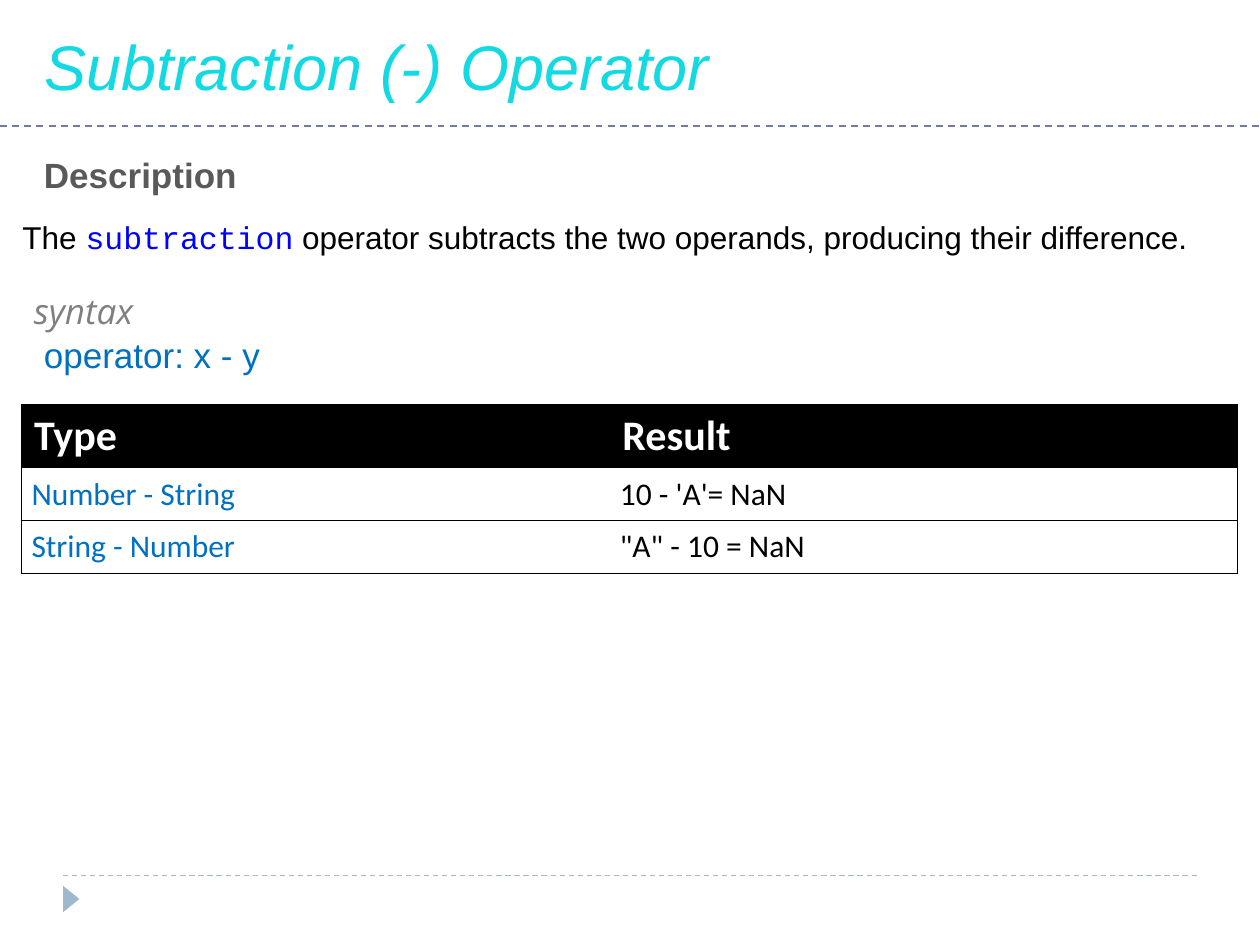
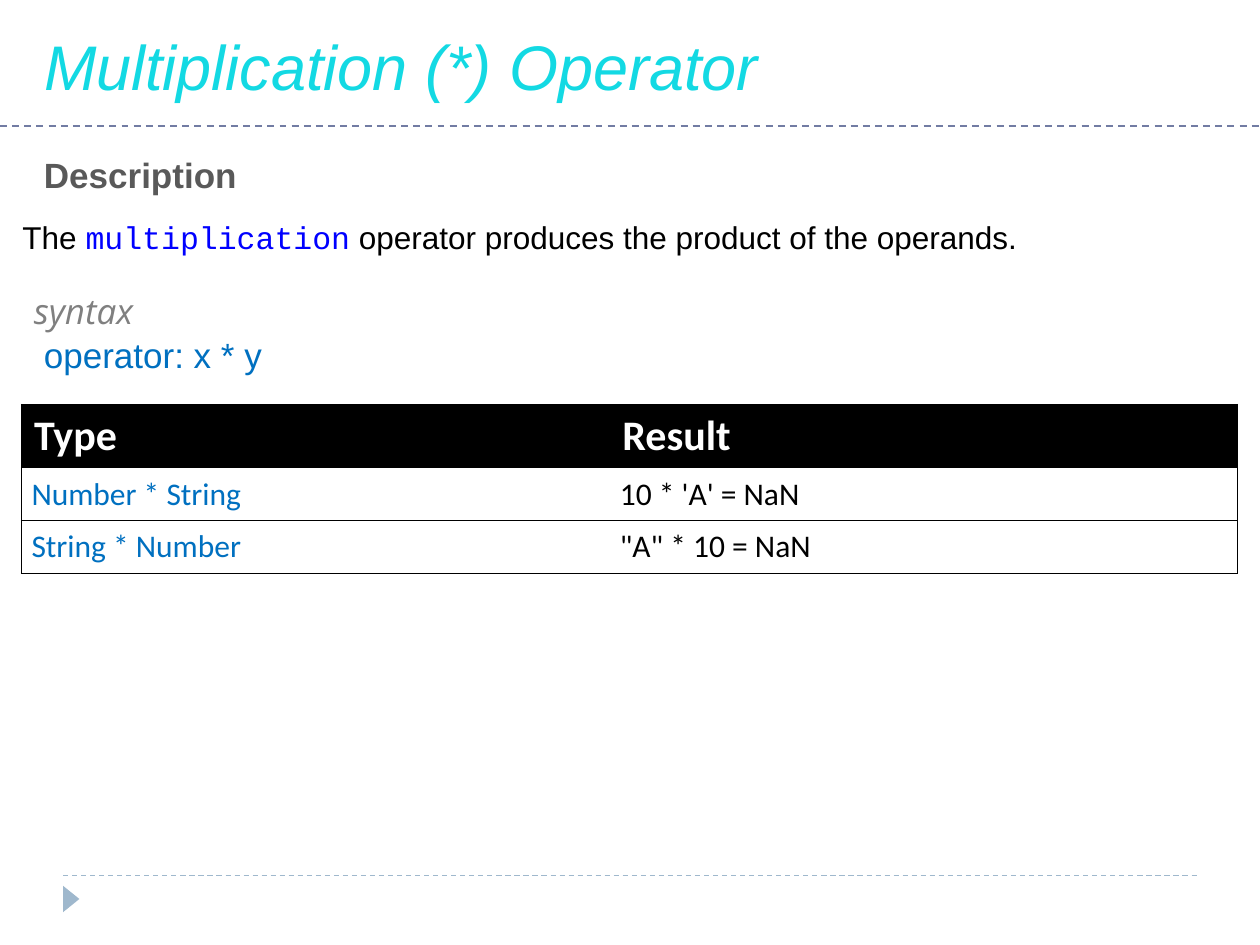
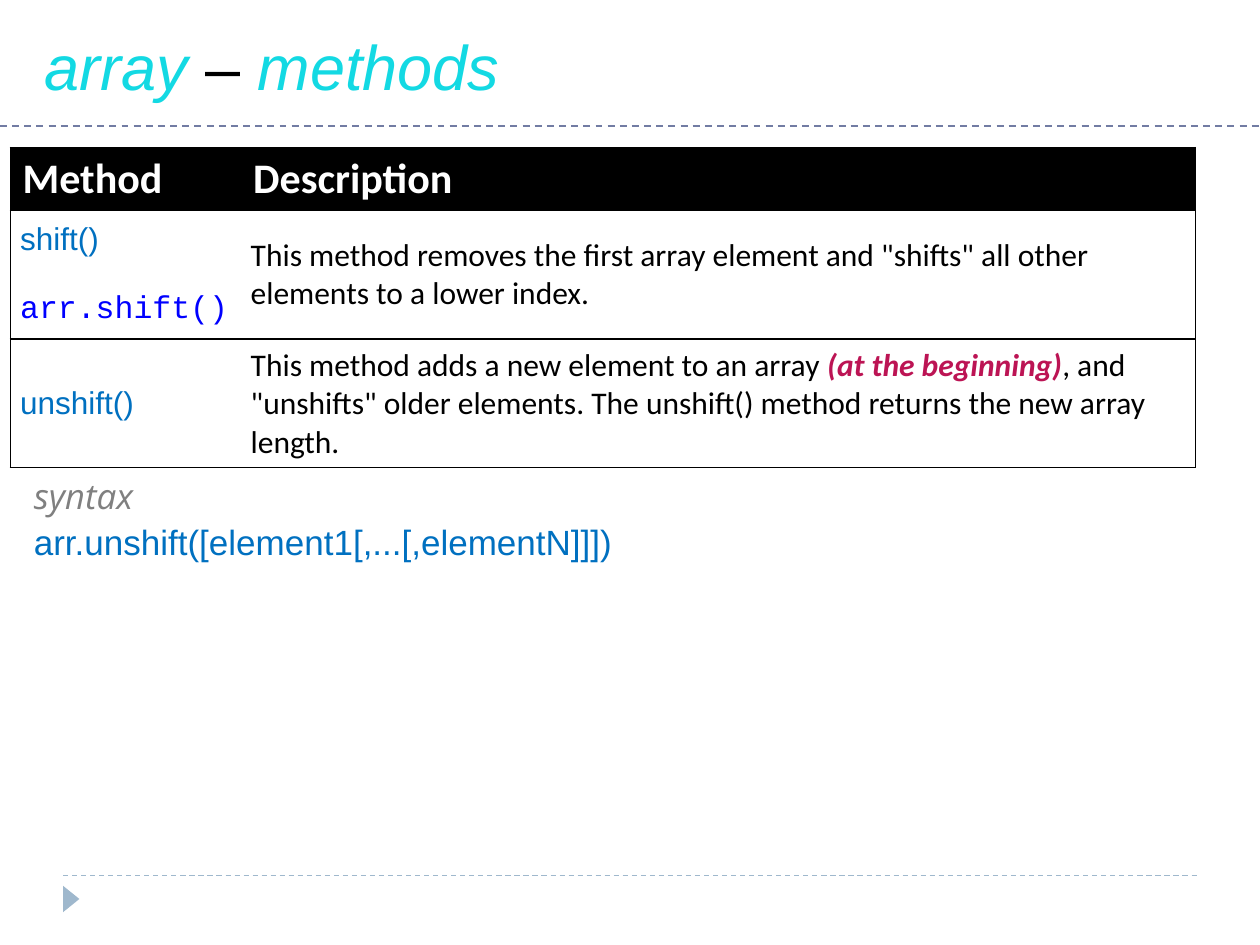
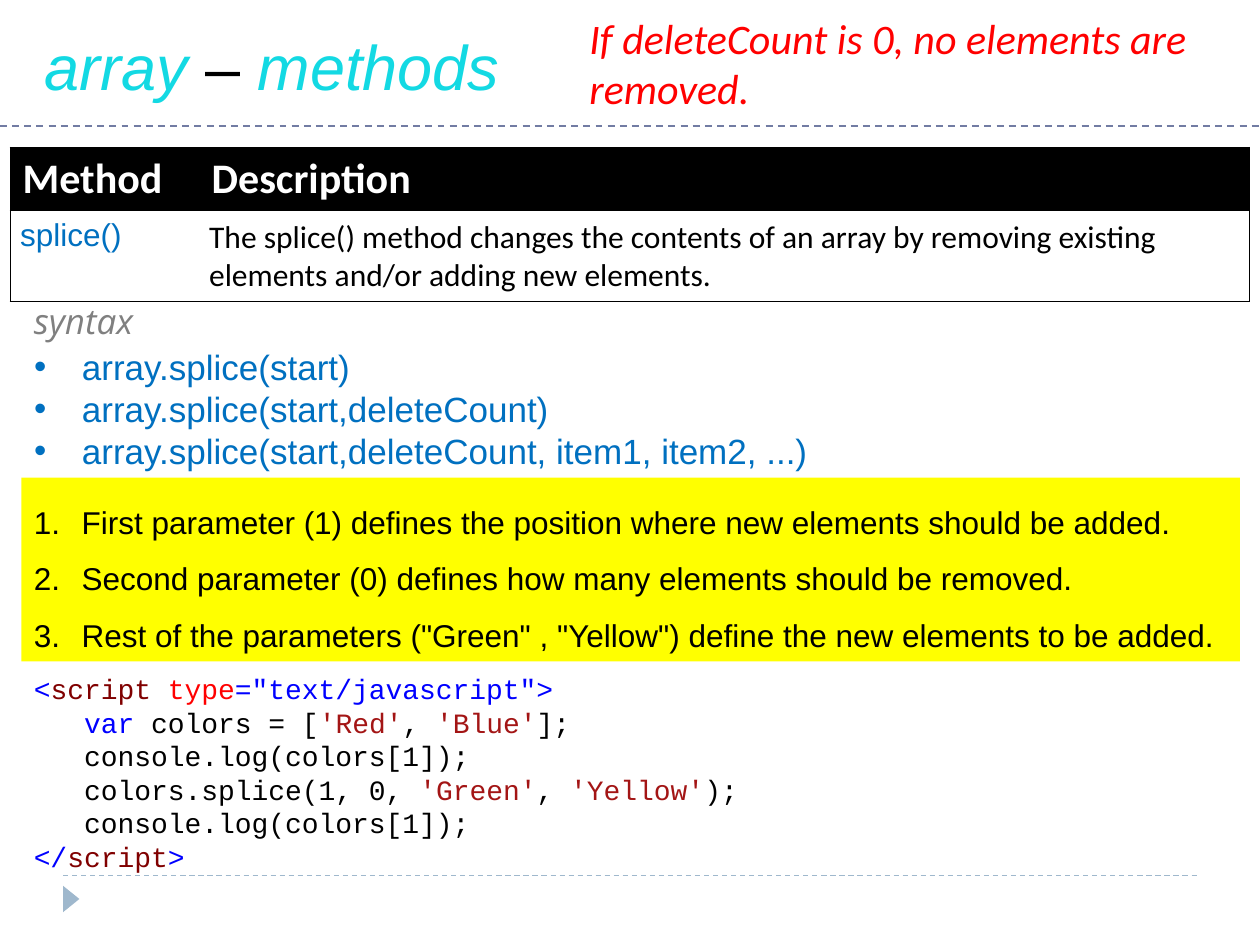
from dataclasses import dataclass

from lxml import etree
from pptx import Presentation, util as u
from pptx.dml.color import RGBColor
from pptx.enum import dml, shapes, text
from pptx.oxml.ns import qn

BLACK, WHITE, RED, YELLOW = "000000", "FFFFFF", "FF0000", "FFFF00"
CYAN, BLUE, CODE_BLUE, GRAY = "13D9E3", "0070C0", "0000FF", "808080"
DARK_GRAY, SLATE, PALE, PINK = "595959", "727CA3", "9FB8CD", "BC1454"
MAROON, STRING = "800000", "A31515"
NO_TABLE_STYLE = "{2D5ABB26-0587-4C30-8999-92F81FD0307C}"

TITLE = {"name": "Arial", "size": u.Pt(36), "italic": True}
HEADING = {"name": "Arial", "size": u.Pt(20), "bold": True}
SYNTAX = {"name": "Open Sans", "size": u.Pt(20), "italic": True}
USAGE = {"name": "Arial", "size": u.Pt(20)}
BODY = {"name": "Arial", "size": u.Pt(18)}
CODE = {"name": "Courier New", "size": u.Pt(18)}
LISTING = {"name": "Courier New", "size": u.Pt(16)}
TABLE_HEAD = {"name": "Calibri", "size": u.Pt(24), "bold": True}
TABLE_BODY = {"name": "Calibri", "size": u.Pt(18)}
WARNING = {"name": "Calibri", "size": u.Pt(24), "italic": True}


@dataclass
class Run:
    text: str
    style: dict
    color: str = BLACK


@dataclass
class Para:
    runs: list[Run]
    left: float = 0
    indent: float = 0
    bullet: str = ""
    spacing: float = 1.0
    before: float = 0


@dataclass
class Box:
    left: float
    top: float
    width: float
    height: float

    def lengths(self) -> list[int]:
        return [u.Inches(v) for v in (self.left, self.top, self.width, self.height)]


@dataclass
class Cell:
    paras: list[Para]
    anchor: text.MSO_ANCHOR = text.MSO_ANCHOR.MIDDLE


@dataclass
class Operator:
    name: str
    sign: str
    effect: str
    results: tuple[str, str]


def rgb(color: str) -> RGBColor:
    return RGBColor.from_string(color)


def line(content: str, style: dict, color: str = BLACK, **layout) -> Para:
    return Para([Run(content, style, color)], **layout)


def write(tf, paras: list[Para]) -> None:
    for i, para in enumerate(paras):
        p = tf.paragraphs[0] if i == 0 else tf.add_paragraph()
        formats = {"alignment": text.PP_ALIGN.LEFT, "line_spacing": para.spacing,
                   "space_before": u.Pt(para.before)}
        for key, value in formats.items():
            setattr(p, key, value)
        props = p._p.get_or_add_pPr()
        props.set("marL", str(u.Inches(para.left)))
        props.set("indent", str(u.Inches(para.indent)))
        if para.bullet == "1.":
            etree.SubElement(props, qn("a:buAutoNum"), type="arabicPeriod")
        elif para.bullet:
            etree.SubElement(props, qn("a:buFont"), typeface="Arial")
            etree.SubElement(props, qn("a:buChar"), char=para.bullet)
        for run in para.runs:
            r = p.add_run()
            r.text = run.text
            for key, value in run.style.items():
                setattr(r.font, key, value)
            r.font.color.rgb = rgb(run.color)


def fill_shape(sp, box: Box, paras: list[Para]) -> None:
    sp.left, sp.top, sp.width, sp.height = box.lengths()
    formats = {"word_wrap": True, "vertical_anchor": text.MSO_ANCHOR.TOP,
               "auto_size": text.MSO_AUTO_SIZE.SHAPE_TO_FIT_TEXT}
    for key, value in formats.items():
        setattr(sp.text_frame, key, value)
    write(sp.text_frame, paras)


def add_text(s, box: Box, *paras: Para) -> None:
    fill_shape(s.shapes.add_textbox(*box.lengths()), box, list(paras))


def add_syntax(s, top: float) -> None:
    add_text(s, Box(0.17, top, 9.67, 0.44), line("syntax", SYNTAX, GRAY))


def add_block(s, box: Box, preset: shapes.MSO_SHAPE, color: str):
    sp = s.shapes.add_shape(preset, *box.lengths())
    sp.shadow.inherit = False
    sp.fill.solid()
    sp.fill.fore_color.rgb = rgb(color)
    sp.line.fill.background()
    return sp


def add_rule(s, left: float, right: float, top: float, color: str, width: float):
    x1, x2, y = u.Inches(left), u.Inches(right), u.Inches(top)
    sp = s.shapes.add_connector(shapes.MSO_CONNECTOR.STRAIGHT, x1, y, x2, y)
    sp.line.color.rgb = rgb(color)
    sp.line.width = u.Pt(width)
    sp.line.dash_style = dml.MSO_LINE.DASH
    etree.SubElement(sp.element.spPr, qn("a:effectLst"))
    return sp


def add_border(cell, side: str) -> None:
    ln = etree.SubElement(cell._tc.get_or_add_tcPr(), qn(f"a:ln{side}"), w=str(u.Pt(0.75)))
    solid = etree.SubElement(ln, qn("a:solidFill"))
    etree.SubElement(solid, qn("a:srgbClr"), val=BLACK)


def add_grid(s, left: float, top: float, cols: list[float], heights: list[float],
             heads: list[str], body: list[list[Cell]]) -> None:
    rows = [[Cell([line(h, TABLE_HEAD, WHITE)], text.MSO_ANCHOR.TOP) for h in heads]] + body
    box = Box(left, top, sum(cols), sum(heights))
    gf = s.shapes.add_table(len(rows), len(cols), *box.lengths())
    table = gf.table
    table.first_row = table.horz_banding = False
    for style_id in gf.element.iter(qn("a:tableStyleId")):
        style_id.text = NO_TABLE_STYLE
    for col, width in zip(table.columns, cols):
        col.width = u.Inches(width)
    for i, (row, height) in enumerate(zip(rows, heights)):
        table.rows[i].height = u.Inches(height)
        for j, content in enumerate(row):
            cell = table.cell(i, j)
            sides = {"L": j == 0, "R": j == len(cols) - 1, "T": i == 0, "B": True}
            for side, shown in sides.items():
                if shown:
                    add_border(cell, side)
            if i == 0:
                cell.fill.solid()
                cell.fill.fore_color.rgb = rgb(BLACK)
            else:
                cell.fill.background()
                cell.margin_left = cell.margin_right = u.Inches(0.08)
                cell.margin_top = cell.margin_bottom = u.Inches(0.06)
            cell.vertical_anchor = content.anchor
            write(cell.text_frame, content.paras)


def add_slide(prs, layout: str, *title: Run):
    s = prs.slides.add_slide(prs.slide_layouts.get_by_name(layout))
    fill_shape(s.shapes.title, Box(0.25, 0.17, 9.42, 0.71), [Para(list(title))])
    return s


def decorate_master(prs, s) -> None:
    marker = add_block(s, Box(0.46, 7.07, 0.21, 0.13),
                       shapes.MSO_SHAPE.ISOSCELES_TRIANGLE, PALE)
    marker.rotation = 90
    rules = [add_rule(s, 0.5, 9.5, 6.95, PALE, 0.75), add_rule(s, 0, 10, 1, SLATE, 1)]
    for sp in (*rules, marker):
        prs.slide_master.shapes.element.append(sp.element)


def add_operator_slide(prs, op: Operator) -> None:
    s = add_slide(prs, "Title Only", Run(f"{op.name} ({op.sign}) Operator", TITLE, CYAN))
    add_text(s, Box(0.25, 1.17, 9.42, 0.44), line("Description", HEADING, DARK_GRAY))
    add_text(s, Box(0.08, 1.68, 9.92, 0.4), Para([
        Run("The ", BODY), Run(op.name.lower(), CODE, CODE_BLUE),
        Run(f" operator {op.effect}", BODY)]))
    add_text(s, Box(0.25, 2.6, 9.5, 0.44), line(f"operator: x {op.sign} y", USAGE, BLUE))
    add_syntax(s, 2.25)
    kinds = (f"Number {op.sign} String", f"String {op.sign} Number")
    body = [[Cell([line(kind, TABLE_BODY, BLUE)]), Cell([line(result, TABLE_BODY)])]
            for kind, result in zip(kinds, op.results)]
    add_grid(s, 0.17, 3.21, [4.67, 4.98], [0.5, 0.42, 0.42], ["Type", "Result"], body)


def add_methods_slide(prs, layout: str, cols: list[float], heights: list[float],
                      body: list[list[Cell]]):
    s = add_slide(prs, layout, Run("array", TITLE, CYAN),
                  Run(" – ", {**TITLE, "italic": False}), Run("methods", TITLE, CYAN))
    add_grid(s, 0.08, 1.17, cols, heights, ["Method", "Description"], body)
    return s


def add_shift_slide(prs) -> None:
    shift = [
        Cell([line("shift()", BODY, BLUE), line("arr.shift()", CODE, CODE_BLUE, before=20)]),
        Cell([line('This method removes the first array element and "shifts" all other '
                   "elements to a lower index.", TABLE_BODY)]),
    ]
    unshift = [
        Cell([line("unshift()", BODY, BLUE)]),
        Cell([Para([
            Run("This method adds a new element to an array ", TABLE_BODY),
            Run("(at the beginning)", {**TABLE_BODY, "bold": True, "italic": True}, PINK),
            Run(', and "unshifts" older elements. The unshift() method returns the new '
                "array length.", TABLE_BODY)])]),
    ]
    s = add_methods_slide(prs, "Title Only", [1.83, 7.58], [0.5, 1.02, 1.02],
                          [shift, unshift])
    add_syntax(s, 3.72)
    add_text(s, Box(0.17, 4.08, 9.67, 0.44),
             line("arr.unshift([element1[,...[,elementN]]])", USAGE, BLUE))


def code_line(*parts: tuple[str, str], left: float = 0) -> Para:
    return Para([Run(part, LISTING, color) for part, color in parts], left=left)


def add_splice_slide(prs) -> None:
    splice = [
        Cell([line("splice()", BODY, BLUE)], text.MSO_ANCHOR.TOP),
        Cell([line("The\u00a0splice()\u00a0method changes the contents of an array by "
                   "removing existing elements and/or adding new elements.", TABLE_BODY)]),
    ]
    s = add_methods_slide(prs, "Title and Content", [1.5, 8.34], [0.5, 0.72], [splice])
    add_text(s, Box(4.58, 0.05, 5.33, 0.91),
             line("If deleteCount is 0, no elements are removed.", WARNING, RED))
    add_syntax(s, 2.33)

    arguments = ("start", "start,deleteCount", "start,deleteCount, item1, item2, ...")
    fill_shape(s.placeholders[1], Box(0.17, 2.69, 9.67, 1.11), [
        line(f"array.splice({a})", USAGE, BLUE, left=0.38, indent=-0.38, bullet="•")
        for a in arguments])

    notes = (
        "First parameter (1) defines the position where new elements should be added.",
        "Second parameter (0) defines how many elements should be removed.",
        'Rest of the parameters ("Green" , "Yellow") define the new elements to be added.',
    )
    box = Box(0.17, 3.79, 9.67, 1.46)
    fill_shape(add_block(s, box, shapes.MSO_SHAPE.RECTANGLE, YELLOW), box, [
        line(n, BODY, left=0.38, indent=-0.38, bullet="1.", spacing=1.5) for n in notes])

    step = 0.4
    log = code_line(("console.log(colors[1]);", BLACK), left=step)
    add_text(
        s, Box(0.17, 5.28, 9.67, 1.61),
        code_line(("<", CODE_BLUE), ("script ", MAROON), ("type", RED),
                  ('="text/javascript">', CODE_BLUE)),
        code_line(("var", CODE_BLUE), (" colors = [", BLACK), ("'Red'", STRING),
                  (", ", BLACK), ("'Blue'", STRING), ("];", BLACK), left=step),
        log,
        code_line(("colors.splice(1, 0, ", BLACK), ("'Green'", STRING), (", ", BLACK),
                  ("'Yellow'", STRING), (");", BLACK), left=step),
        log,
        code_line(("</", CODE_BLUE), ("script", MAROON), (">", CODE_BLUE)))


OPERATORS = [
    Operator("Subtraction", "-", "subtracts the two operands, producing their difference.",
             ("10 - 'A'= NaN", '"A" - 10 = NaN')),
    Operator("Multiplication", "*", "produces the product of the operands.",
             ("10 * 'A' = NaN", '"A" * 10 = NaN')),
]


def main() -> None:
    prs = Presentation()
    prs.slide_width, prs.slide_height = u.Inches(10), u.Inches(7.5)
    for op in OPERATORS:
        add_operator_slide(prs, op)
    decorate_master(prs, prs.slides[0])
    add_shift_slide(prs)
    add_splice_slide(prs)
    prs.save("out.pptx")


main()
